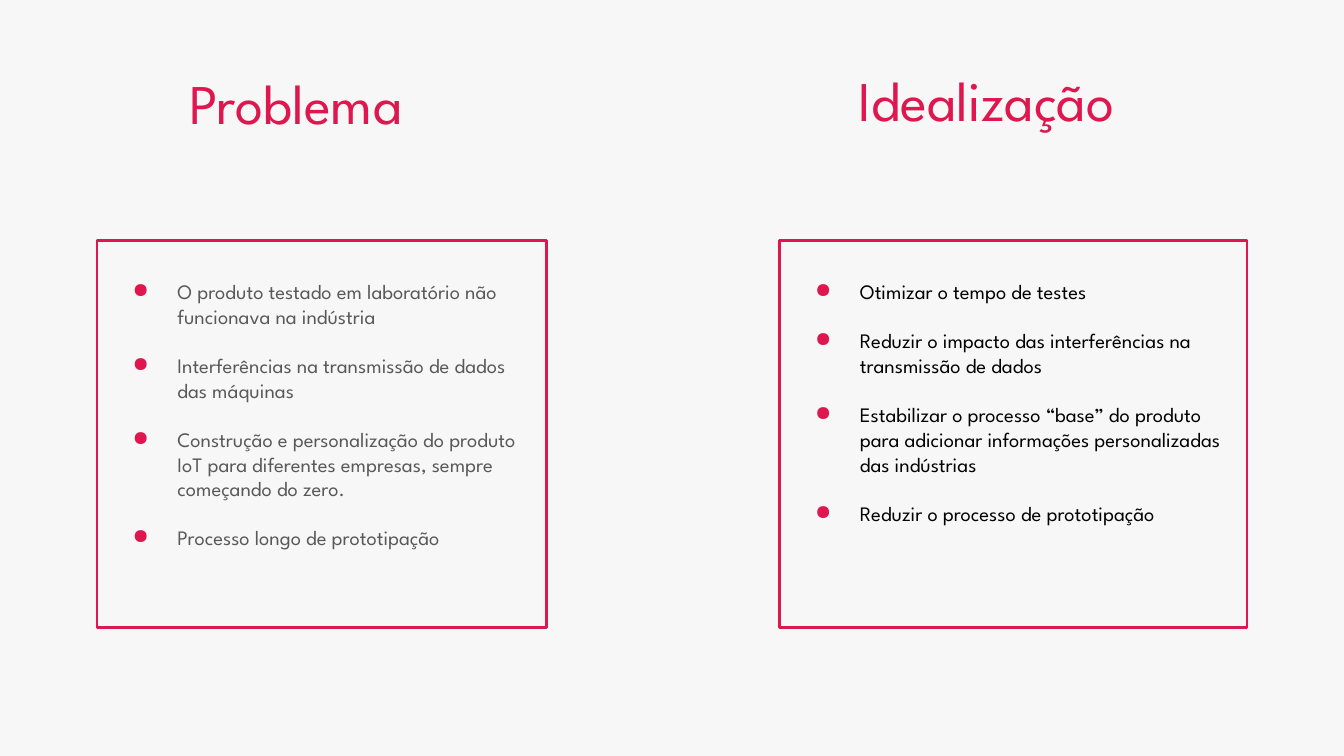
from lxml import etree
from pptx import Presentation
from pptx import util as u
from pptx.dml import color
from pptx.enum import shapes, text
from pptx.oxml import ns

Pt = u.Pt
FONT, CRIMSON = "League Spartan", "DE174E"
INSET, LINE_HEIGHT = 7.2, 13.2


def rgb(value):
    return color.RGBColor.from_string(value)


def add_bullet(paragraph):
    properties = paragraph._p.get_or_add_pPr()
    properties.set("marL", str(Pt(36)))
    properties.set("indent", str(Pt(-24)))
    bullet_color = etree.SubElement(properties, ns.qn("a:buClr"))
    etree.SubElement(bullet_color, ns.qn("a:srgbClr"), val=CRIMSON)
    etree.SubElement(properties, ns.qn("a:buChar"), char="●")


deck = Presentation()
deck.slide_width, deck.slide_height = Pt(720), Pt(405)
slide = deck.slides.add_slide(deck.slide_layouts[6])
slide.background.fill.solid()
slide.background.fill.fore_color.rgb = rgb("F7F7F7")

# Each column: heading, heading box, frame left and width, text colour, points
columns = [
    ("Problema", (94.3, 29.5, 154, 43), 52, 241, "595959", [
        "O produto testado em laboratório não funcionava na indústria",
        "Interferências na transmissão de dados das máquinas",
        "Construção e personalização do produto IoT para diferentes empresas, "
        "sempre começando do zero.",
        "Processo longo de prototipação",
    ]),
    ("Idealização", (453, 28, 178, 47), 417.6, 250.5, "000000", [
        "Otimizar o tempo de testes",
        "Reduzir o impacto das interferências na transmissão de dados",
        "Estabilizar o processo “base” do produto para adicionar informações "
        "personalizadas das indústrias",
        "Reduzir o processo de prototipação",
    ]),
]

for title, title_box, left, width, ink, points in columns:
    # Heading
    heading = slide.shapes.add_textbox(*map(Pt, title_box)).text_frame
    heading.word_wrap = True
    heading.margin_left = heading.margin_right = Pt(INSET)
    heading.margin_top = heading.margin_bottom = Pt(INSET)
    heading.text = title
    heading_font = heading.paragraphs[0].font
    heading_font.name, heading_font.size = FONT, Pt(30)
    heading_font.color.rgb = rgb(CRIMSON)

    # Outlined frame
    frame = slide.shapes.add_shape(
        shapes.MSO_SHAPE.RECTANGLE, Pt(left), Pt(129), Pt(width), Pt(207.4))
    frame.shadow.inherit = False
    frame.fill.background()
    frame.line.color.rgb = rgb(CRIMSON)
    frame.line.width = Pt(1.5)

    # Bulleted points, one line apart
    body = frame.text_frame
    body.word_wrap = True
    body.vertical_anchor = text.MSO_ANCHOR.TOP
    body.margin_left = body.margin_right = body.margin_bottom = Pt(INSET)
    body.margin_top = Pt(INSET + LINE_HEIGHT)
    body.text = "\n".join(points)
    for number, point in enumerate(body.paragraphs):
        point.alignment = text.PP_ALIGN.LEFT
        point.space_before = Pt(LINE_HEIGHT if number else 0)
        add_bullet(point)
        point.font.name, point.font.size = FONT, Pt(11)
        point.font.color.rgb = rgb(ink)

deck.save("out.pptx")
